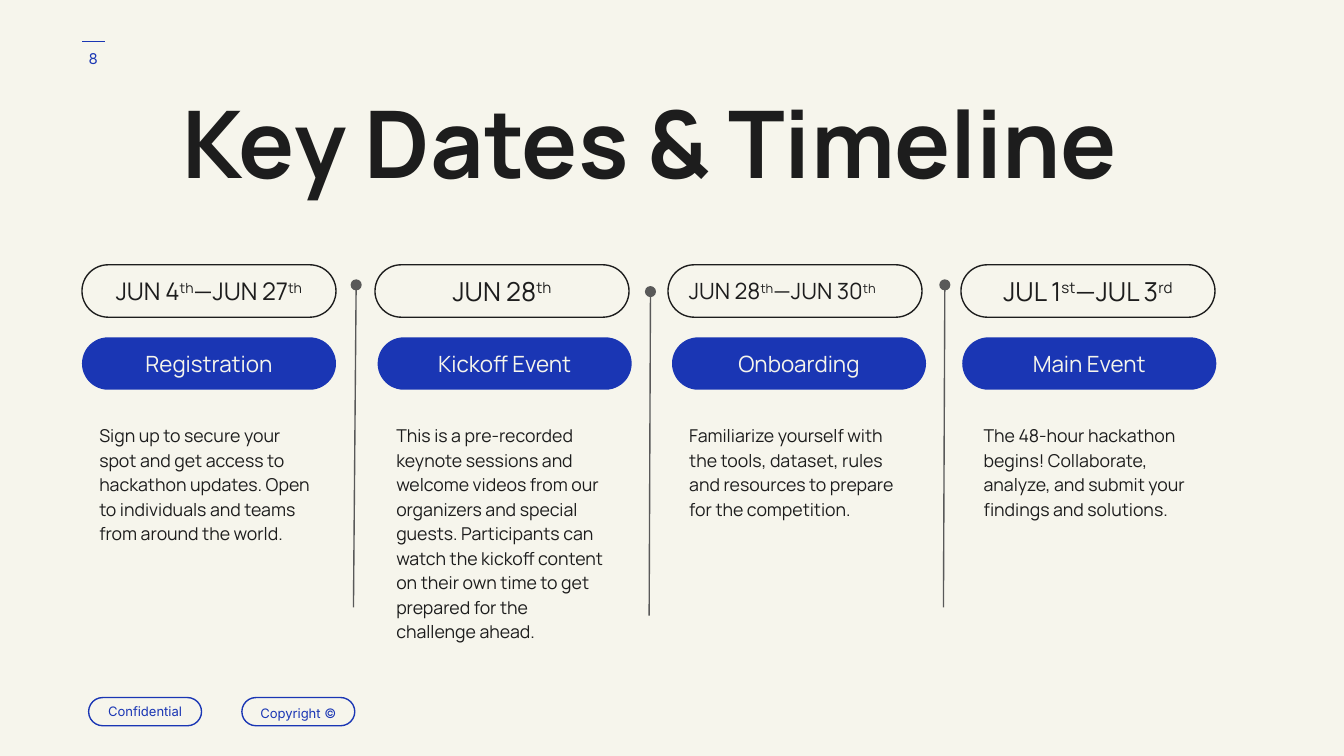
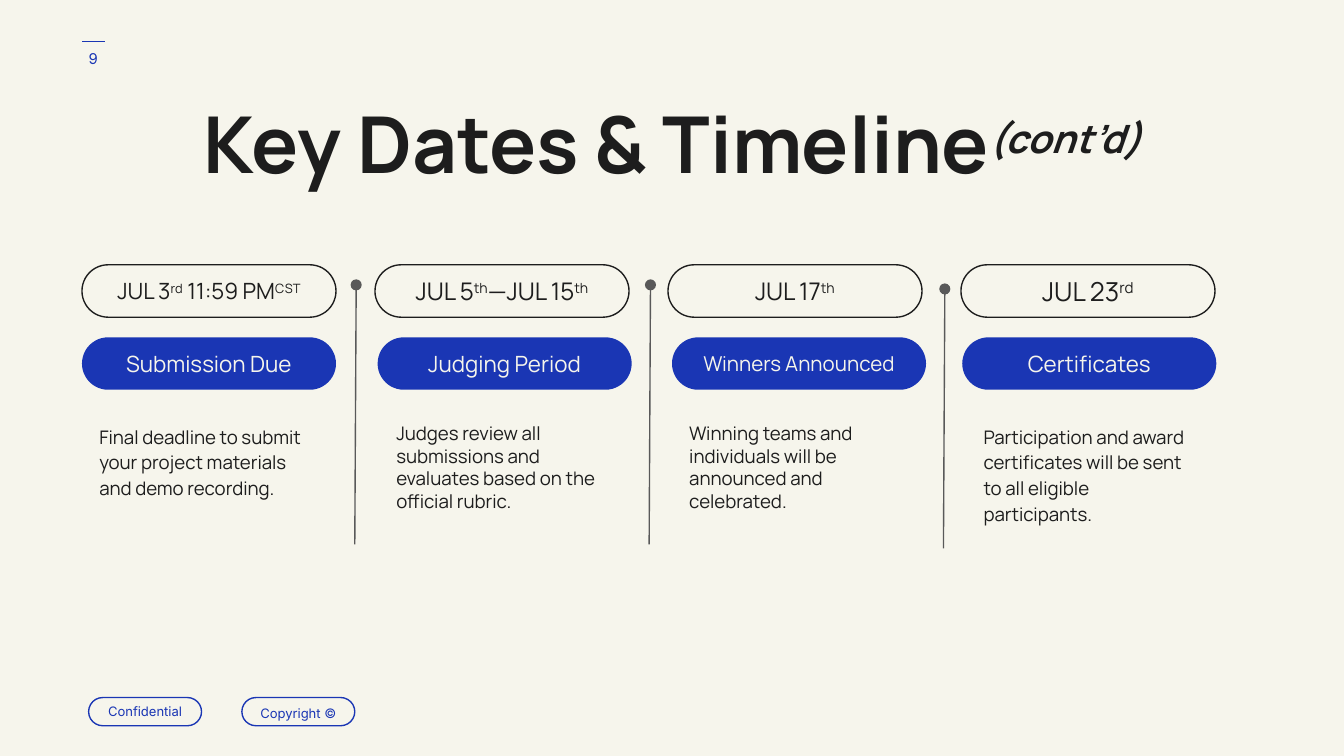
from dataclasses import dataclass

from lxml import etree
from pptx import Presentation
from pptx.dml.color import RGBColor
from pptx.enum.shapes import MSO_CONNECTOR, MSO_SHAPE
from pptx.enum.text import MSO_ANCHOR, PP_ALIGN
from pptx.oxml.ns import qn
from pptx.util import Inches, Pt

PILL = MSO_SHAPE.ROUNDED_RECTANGLE
STRAIGHT = MSO_CONNECTOR.STRAIGHT
TOP, MIDDLE = MSO_ANCHOR.TOP, MSO_ANCHOR.MIDDLE
LEFT, CENTER = PP_ALIGN.LEFT, PP_ALIGN.CENTER


@dataclass(frozen=True)
class Theme:
    paper: str = "F6F5EC"
    ink: str = "1D1D1D"
    blue: str = "1A36B4"
    grey: str = "595959"
    display: str = "Manrope"
    small: str = "Inter"
    footer_size: float = 7
    number_size: float = 8
    name_size: float = 12
    line_width: float = 0.75


# Grid of square modules, ten to the inch: 100 columns by 56.25 rows
MODULE = 0.1
COLUMNS, ROWS = 100, 56.25

# Columns of the timeline
DATE_LEFT, DATE_STEP = 6.1, 21.8
NAME_LEFTS = (6.1, 28.1, 50, 71.6)
DETAIL_LEFTS = (6.4, 28.5, 50.3, 72.2)
DIVIDER_LEFT, DIVIDER_STEP = 26.5, 21.9
PILL_WIDTH, PILL_HEIGHT = 18.9, 3.9

# Rows of the timeline
DATE_TOP, NAME_TOP, DETAIL_TOP = 19.7, 25.1, 30.4


def grid(modules):
    return Inches(modules * MODULE)


def rgb(value):
    return RGBColor.from_string(value)


class Deck:
    def __init__(self, theme):
        self.theme = theme
        self.prs = Presentation()
        self.prs.slide_width = grid(COLUMNS)
        self.prs.slide_height = grid(ROWS)
        self.slide = None

    def new_slide(self, number):
        """Start a slide with the shared background, number and footer."""
        theme = self.theme
        self.slide = self.prs.slides.add_slide(self.prs.slide_layouts[6])
        background = self.slide.background.fill
        background.solid()
        background.fore_color.rgb = rgb(theme.paper)

        self.line((7.8, 3.1), (6.1, 3.1), theme.blue)
        self.text((4.6, 2.2, 4.7, 4.3), str(number), theme.number_size,
                  color=theme.blue, font=theme.small, align=CENTER, anchor=MIDDLE)
        for left, label, spacing in ((6.6, "Confidential", None),
                                     (18, "Copyright ©", 1.15)):
            self.pill((left, 51.9, 8.4, 2.1), label, theme.footer_size,
                      theme.blue, outline=theme.blue, font=theme.small,
                      spacing=spacing)

    def set_text(self, shape, text, size, color, font=None, align=LEFT,
                 anchor=TOP, spacing=None, bold=None):
        """Fill a shape with text; every second part between bars is raised."""
        frame = shape.text_frame
        frame.word_wrap = True
        frame.vertical_anchor = anchor
        frame.margin_left = frame.margin_right = grid(1)
        frame.margin_top = frame.margin_bottom = grid(1)
        paragraph = frame.paragraphs[0]
        paragraph.alignment = align
        if spacing:
            paragraph.line_spacing = spacing
        for index, part in enumerate(text.split("|")):
            run = paragraph.add_run()
            run.text = part
            run.font.name = font or self.theme.display
            run.font.size = Pt(size)
            run.font.bold = bold
            run.font.color.rgb = rgb(color)
            if index % 2:
                run.font._element.set("baseline", "30000")
        return paragraph

    def text(self, box, text, size, color=None, **style):
        shape = self.slide.shapes.add_textbox(*map(grid, box))
        return self.set_text(shape, text, size, color or self.theme.ink, **style)

    def pill(self, box, text, size, color, fill=None, outline=None,
             align=CENTER, **style):
        shape = self.slide.shapes.add_shape(PILL, *map(grid, box))
        shape.adjustments[0] = 0.5
        shape.shadow.inherit = False
        if fill:
            shape.fill.solid()
            shape.fill.fore_color.rgb = rgb(fill)
        else:
            shape.fill.background()
        if outline:
            shape.line.color.rgb = rgb(outline)
            shape.line.width = Pt(self.theme.line_width)
        else:
            shape.line.fill.background()
        self.set_text(shape, text, size, color, align=align, anchor=MIDDLE,
                      **style)

    def line(self, start, end, color, dot=False):
        line = self.slide.shapes.add_connector(STRAIGHT, *map(grid, start + end))
        line.line.color.rgb = rgb(color)
        line.line.width = Pt(self.theme.line_width)
        properties = line._element.spPr
        if dot:
            outline = properties.find(qn("a:ln"))
            etree.SubElement(outline, qn("a:headEnd"), type="oval")
        etree.SubElement(properties, qn("a:effectLst"))

    def title(self, left, width, text, size, suffix_size=None):
        paragraph = self.text((left, 6.5, width, 9.5), text, size, align=CENTER,
                              anchor=MIDDLE, spacing=0.8, bold=True)
        if suffix_size:
            suffix = paragraph.runs[-1].font
            suffix.size = Pt(suffix_size)
            suffix.italic = True

    def timeline(self, stages, detail_size, dividers):
        theme = self.theme
        for column, stage in enumerate(stages):
            self.pill((DATE_LEFT + column * DATE_STEP, DATE_TOP,
                       PILL_WIDTH, PILL_HEIGHT),
                      stage.date, stage.date_size, theme.ink,
                      outline=theme.ink, align=stage.date_align)
            self.pill((NAME_LEFTS[column], NAME_TOP, PILL_WIDTH, PILL_HEIGHT),
                      stage.name, stage.name_size, theme.paper, fill=theme.blue)
            self.text((DETAIL_LEFTS[column], DETAIL_TOP, 17.9, 18.8),
                      stage.detail, detail_size, spacing=stage.spacing)
        # Dividers between the columns lean slightly to the left
        for column, (top, bottom, lean) in enumerate(dividers):
            x = DIVIDER_LEFT + column * DIVIDER_STEP
            self.line((x, top), (x - lean, bottom), theme.grey, dot=True)


@dataclass(frozen=True)
class Stage:
    date: str
    date_size: float
    name: str
    detail: str
    spacing: float | None = 1.15
    name_size: float = Theme.name_size
    date_align: PP_ALIGN = CENTER


OPENING_STAGES = (
    Stage("JUN 4|th|—JUN 27|th", 13, "Registration",
          "Sign up to secure your spot and get access to hackathon updates. "
          "Open to individuals and teams from around the world."),
    Stage("JUN 28|th", 14, "Kickoff Event",
          "This is a pre-recorded keynote sessions and welcome videos from our "
          "organizers and special guests. Participants can watch the kickoff "
          "content on their own time to get prepared for the challenge ahead."),
    Stage("JUN 28|th|—JUN 30|th", 12, "Onboarding",
          "Familiarize yourself with the tools, dataset, rules and resources "
          "to prepare for the competition.", date_align=LEFT),
    Stage("JUL 1|st|—JUL 3|rd", 14, "Main Event",
          "The 48-hour hackathon begins! Collaborate, analyze, and submit "
          "your findings and solutions."),
)

CLOSING_STAGES = (
    Stage("JUL 3|rd| 11:59 PM|CST", 12, "Submission Due",
          "Final deadline to submit your project materials and demo recording."),
    Stage("JUL 5|th|—JUL 15|th", 13, "Judging Period",
          "Judges review all submissions and evaluates based on the official "
          "rubric.", spacing=None),
    Stage("JUL 17|th", 13, "Winners Announced",
          "Winning teams and individuals will be announced and celebrated.",
          spacing=None, name_size=11),
    Stage("JUL 23|rd", 14, "Certificates",
          "Participation and award certificates will be sent to all eligible "
          "participants."),
)


def main():
    deck = Deck(Theme())

    # Registration to main event
    deck.new_slide(8)
    deck.title(10.8, 75.1, "Key Dates & Timeline", 50)
    deck.timeline(OPENING_STAGES, 9.5,
                  ((21.2, 45.2, 0.2), (21.7, 45.8, 0.1), (21.2, 45.2, 0.1)))

    # Submission to certificates
    deck.new_slide(9)
    deck.title(6.1, 87.9, "Key Dates & Timeline|(cont’d)", 42, suffix_size=36)
    deck.timeline(CLOSING_STAGES, 10,
                  ((21.2, 40.5, 0.1), (21.2, 40.5, 0.1), (21.5, 40.8, 0.1)))

    deck.prs.save("out.pptx")


if __name__ == "__main__":
    main()
